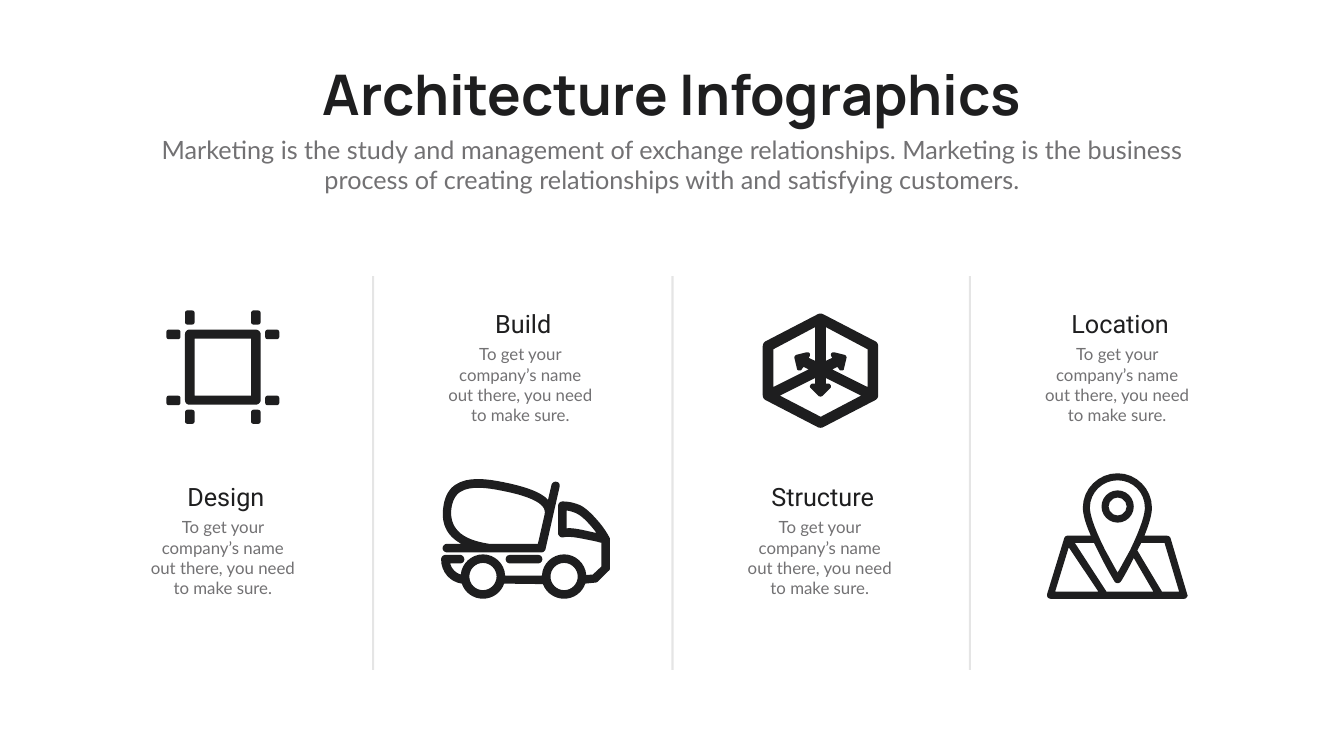
from dataclasses import dataclass
from itertools import product

from lxml.etree import SubElement
from pptx import Presentation
from pptx.dml.color import RGBColor
from pptx.enum.shapes import MSO_CONNECTOR, MSO_SHAPE
from pptx.enum.text import MSO_ANCHOR, MSO_AUTO_SIZE, PP_ALIGN
from pptx.oxml.ns import qn
from pptx.slide import Slide
from pptx.util import Inches, Pt

COLORS = {"ink": "1E1E1F", "body": "727173", "divider": "808080"}
COLUMNS, ROWS = 2666, 1500
CURVE_STEPS = 8
CARD_TEXT = "To get your company’s name out there, you need to make sure."
CARDS = [("Design", 285, 950), ("Build", 875, 607),
         ("Structure", 1469, 950), ("Location", 2059, 607)]
DIVIDERS = [740, 1334, 1924]


def contour(text):
    """Read grid points: a pair is a straight step, six numbers a curve."""
    return [tuple(float(n) for n in step.split(",")) for step in text.split()]


def circle(x, y, radius):
    """Return a circular contour made of four curves."""
    r, k = radius, radius * 0.55
    return [(x, y + r),
            (x - k, y + r, x - r, y + k, x - r, y),
            (x - r, y - k, x - k, y - r, x, y - r),
            (x + k, y - r, x + r, y - k, x + r, y),
            (x + r, y + k, x + k, y + r, x, y + r)]


def mirrored(steps, axis):
    """Reflect a contour about a vertical axis."""
    return [tuple(2 * axis - n if i % 2 == 0 else n for i, n in enumerate(step))
            for step in steps]


def flatten(steps):
    """Turn the curves of a contour into short straight steps."""
    points = []
    for step in steps:
        if len(step) == 2:
            points.append(step)
            continue
        x0, y0 = points[-1]
        x1, y1, x2, y2, x3, y3 = step
        for i in range(1, CURVE_STEPS + 1):
            t = i / CURVE_STEPS
            a, b, c, d = (1 - t) ** 3, 3 * t * (1 - t) ** 2, 3 * t * t * (1 - t), t ** 3
            points.append((a * x0 + b * x1 + c * x2 + d * x3,
                           a * y0 + b * y1 + c * y2 + d * y3))
    return points


def write(frame, text, *, size, font, color, bold=False, wrap=True,
          anchor=MSO_ANCHOR.TOP):
    """Put one centred, formatted paragraph in a text frame."""
    frame.word_wrap = wrap
    frame.auto_size = MSO_AUTO_SIZE.NONE
    frame.vertical_anchor = anchor
    paragraph = frame.paragraphs[0]
    paragraph.alignment = PP_ALIGN.CENTER
    paragraph.space_before = Pt(0)
    run = paragraph.add_run()
    run.text = text
    run.font.size = Pt(size)
    run.font.name = font
    run.font.bold = bold
    run.font.color.rgb = RGBColor.from_string(COLORS[color])


@dataclass
class Canvas:
    """Hold the grid, the icon colour and the current slide."""
    slide: Slide
    column: float
    row: float
    icon_color: str = "ink"

    def place(self, left, top, width, height):
        """Convert a grid box to slide lengths."""
        return (round(left * self.column), round(top * self.row),
                round(width * self.column), round(height * self.row))

    def placeholder(self, holder, box, text, **style):
        """Move and fill a template placeholder."""
        holder.left, holder.top, holder.width, holder.height = self.place(*box)
        write(holder.text_frame, text, **style)

    def text(self, box, text, **style):
        """Add a text box."""
        write(self.slide.shapes.add_textbox(*self.place(*box)).text_frame, text, **style)

    def divider(self, x, top, bottom):
        """Add a faint vertical line."""
        left, start, _, end = self.place(x, top, 0, bottom)
        line = self.slide.shapes.add_connector(MSO_CONNECTOR.STRAIGHT, left, start, left, end)
        line.line.width = Pt(3)
        line.line.color.rgb = RGBColor.from_string(COLORS["divider"])
        properties = line._element.spPr
        SubElement(properties.find(".//" + qn("a:srgbClr")), qn("a:alpha"), val="20000")
        SubElement(properties, qn("a:effectLst"))

    def paint(self, shape):
        """Give an icon part its plain fill."""
        shape.shadow.inherit = False
        shape.fill.solid()
        shape.fill.fore_color.rgb = RGBColor.from_string(COLORS[self.icon_color])
        shape.line.fill.background()

    def preset(self, kind, box, adjustment):
        """Add an icon part from a preset shape."""
        shape = self.slide.shapes.add_shape(kind, *self.place(*box))
        shape.adjustments[0] = adjustment
        self.paint(shape)

    def outline(self, *contours):
        """Add an icon part from an outer contour and its holes."""
        builder = None
        for steps in contours:
            points = [(x * self.column, y * self.row) for x, y in flatten(steps)]
            if builder is None:
                builder = self.slide.shapes.build_freeform(*points[0])
            else:
                builder.move_to(*points[0])
            builder.add_line_segments(points[1:], close=True)
        self.paint(builder.convert_to_shape())


def draw_artboard(canvas):
    """Draw the square frame with its eight crop marks."""
    canvas.outline(
        contour("507,654 376,654 371,654,367,658,367,663 367,794 367,799,371,803,376,803"
                " 507,803 512,803,517,799,517,794 517,663 517,658,512,654,507,654"),
        contour("498,785 386,785 386,672 498,672"))
    marks = [(x, y, 19, 28) for x, y in product((367, 498), (616, 813))]
    marks += [(x, y, 28, 19) for x, y in product((330, 526), (654, 785))]
    for mark in marks:
        canvas.preset(MSO_SHAPE.ROUNDED_RECTANGLE, mark, 0.25)


def draw_mixer(canvas):
    """Draw the concrete mixer truck."""
    canvas.outline(
        contour("1210,1069 1207,1062,1199,1049,1189,1037 1179,1025,1165,1010,1152,1003"
                " 1141,998,1128,995,1116,995 1111,995,1107,999,1107,1004 1107,1058"
                " 1107,1061,1109,1063,1111,1065 1113,1066,1116,1067,1118,1066"
                " 1131,1063,1156,1069,1176,1073 1182,1074,1188,1076,1193,1077"
                " 1193,1124 1176,1140 1163,1141 1161,1118,1142,1100,1119,1100"
                " 1095,1100,1076,1119,1075,1142 1002,1142 1001,1118,981,1100,958,1100"
                " 935,1100,916,1118,914,1140 904,1137,896,1129,893,1118 912,1118"
                " 917,1118,921,1115,921,1110 921,1105,917,1101,912,1101 884,1101"
                " 879,1101,875,1105,875,1110 875,1135,893,1155,916,1158"
                " 922,1176,939,1188,958,1188 977,1188,994,1176,1000,1158 1077,1159"
                " 1083,1176,1100,1188,1119,1188 1138,1188,1155,1176,1161,1158"
                " 1181,1156 1183,1156,1184,1155,1186,1154 1207,1133"
                " 1209,1132,1210,1129,1210,1127"),
        contour("1180,1057 1162,1053,1143,1048,1128,1048 1127,1048,1125,1048,1124,1049"
                " 1124,1013 1131,1014,1138,1016,1144,1019 1157,1025,1173,1044,1183,1057"),
        circle(958, 1144, 27),
        circle(1119, 1144, 27))
    canvas.preset(MSO_SHAPE.ROUNDED_RECTANGLE, (1003, 1101, 73, 17), 0.5)
    canvas.outline(
        contour("915,1079 887,1079 882,1079,878,1083,878,1088 878,1092,882,1096,887,1096"
                " 1074,1096 1078,1096,1081,1093,1082,1090 1110,966"
                " 1111,961,1109,957,1104,956 1099,955,1095,958,1094,962 1087,992"
                " 1083,987,1077,983,1070,979 1055,971,1034,964,1000,957"
                " 966,950,928,945,903,962 891,970,883,984,880,1002"
                " 876,1024,879,1043,890,1058 896,1066,904,1073,915,1079"),
        contour("896,1005 899,991,904,982,913,976 933,963,968,968,997,974"
                " 1028,980,1049,987,1062,994 1081,1004,1082,1014,1080,1022"
                " 1067,1079 970,1079 937,1074,915,1064,904,1048 896,1037,893,1022,896,1005"))


def draw_cube(canvas):
    """Draw the cube with three axis arrows."""
    axis = 1627.5
    side = contour("1534,693 1617,649 1617,716 1604,710 1606,707"
                   " 1607,705,1607,703,1606,701 1605,699,1602,699,1600,699 1580,704"
                   " 1577,705,1575,708,1576,711 1581,732 1581,734,1583,735,1585,735"
                   " 1588,735,1590,735,1590,733 1594,728 1604,733 1534,768")
    canvas.outline(
        contour("1736,677 1632,623 1629,622,1626,622,1623,623 1519,677"
                " 1515,679,1513,683,1513,687 1513,784 1513,788,1515,792,1519,794"
                " 1623,848 1626,849,1629,849,1632,848 1736,794"
                " 1740,792,1742,788,1742,784 1742,687 1742,683,1740,679,1736,677"),
        side,
        mirrored(side, axis),
        contour("1628,827 1547,785 1617,750 1617,761 1612,761"
                " 1610,761,1608,763,1607,765 1606,767,1607,769,1608,770 1624,786"
                " 1626,787,1629,787,1631,786 1647,770 1648,769,1649,767,1648,765"
                " 1647,763,1645,761,1643,761 1638,761 1638,750 1708,785"))


def draw_map(canvas):
    """Draw the folded map with its pin."""
    canvas.outline(
        contour("2355,1179 2322,1068 2321,1065,2318,1063,2315,1063 2270,1063"
                " 2280,1039,2285,1020,2285,1007 2285,970,2254,939,2217,939"
                " 2179,939,2148,970,2148,1007 2148,1020,2153,1039,2164,1063 2117,1063"
                " 2114,1063,2112,1065,2111,1068 2077,1179 2077,1181,2077,1183,2078,1185"
                " 2080,1187,2082,1188,2084,1188 2349,1188"
                " 2351,1188,2353,1187,2354,1185 2356,1183,2356,1181,2355,1179"),
        contour("2217,953 2247,953,2271,977,2271,1007 2271,1018,2266,1041,2242,1091"
                " 2232,1109,2223,1126,2217,1136 2211,1126,2202,1109,2192,1091"
                " 2167,1041,2162,1018,2162,1007 2162,977,2187,953,2217,953"),
        contour("2180,1097 2195,1128,2211,1154,2211,1154 2214,1158,2220,1158,2223,1154"
                " 2224,1154,2236,1133,2249,1107 2288,1174 2195,1174 2132,1077 2170,1077"),
        contour("2120,1086 2179,1174 2093,1174"),
        contour("2305,1174 2256,1092 2264,1077 2310,1077 2339,1174"))
    canvas.preset(MSO_SHAPE.DONUT, (2185, 973, 64, 64), 0.22)


def main():
    """Build and save the slide."""
    deck = Presentation()
    deck.slide_width, deck.slide_height = Inches(26.66), Inches(15)
    slide = deck.slides.add_slide(deck.slide_layouts[0])
    canvas = Canvas(slide, deck.slide_width / COLUMNS, deck.slide_height / ROWS)
    canvas.placeholder(slide.shapes.title, (579, 112, 1509, 145),
                       "Architecture Infographics", size=80, font="Manrope",
                       color="ink", bold=True, wrap=False, anchor=MSO_ANCHOR.MIDDLE)
    canvas.placeholder(slide.placeholders[1], (292, 261, 2082, 131),
                       "Marketing is the study and management of exchange relationships. "
                       "Marketing is the business process of creating relationships with "
                       "and satisfying customers.", size=36, font="Lato", color="body")
    for heading, left, top in CARDS:
        canvas.text((left, top + 71, 314, 172), CARD_TEXT, size=24, font="Lato", color="body")
        canvas.text((left, top, 326, 71), heading, size=36, font="Roboto", color="ink")
    for x in DIVIDERS:
        canvas.divider(x, 548, 1329)
    for draw in (draw_artboard, draw_mixer, draw_cube, draw_map):
        draw(canvas)
    deck.save("out.pptx")


if __name__ == "__main__":
    main()
